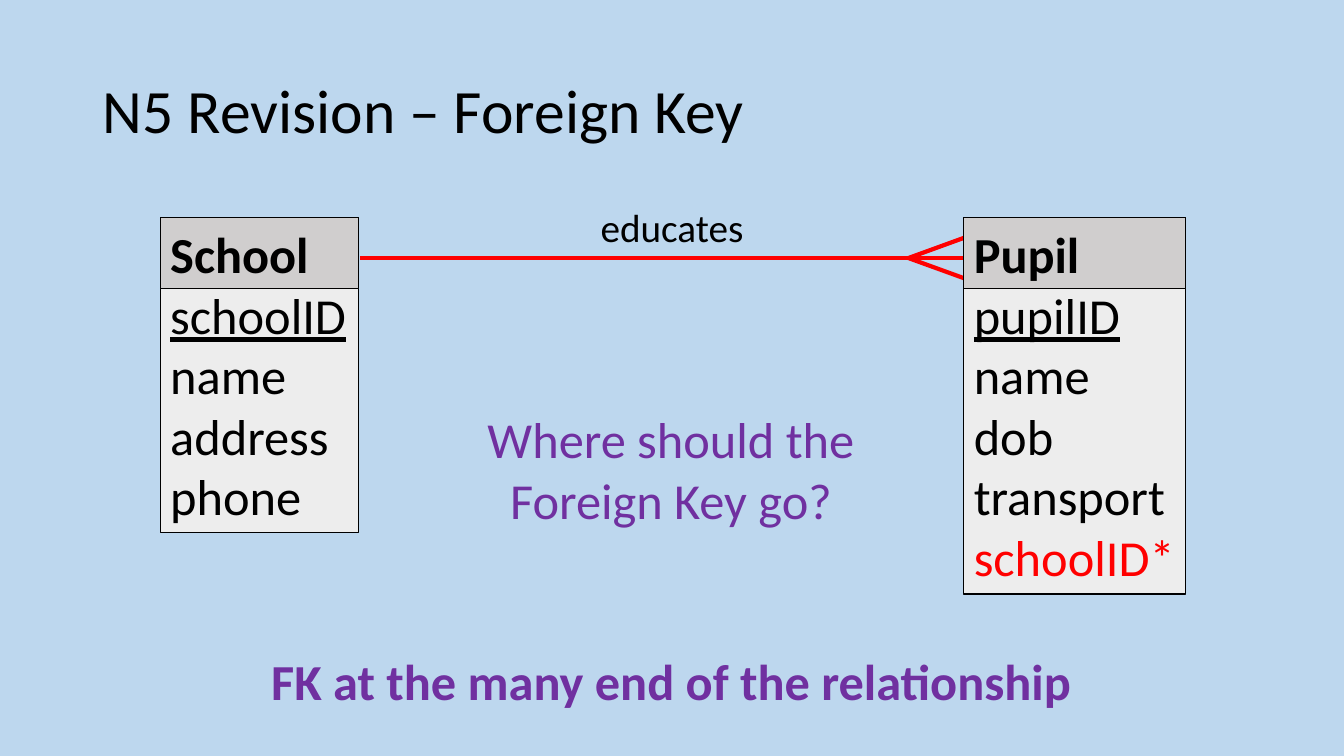
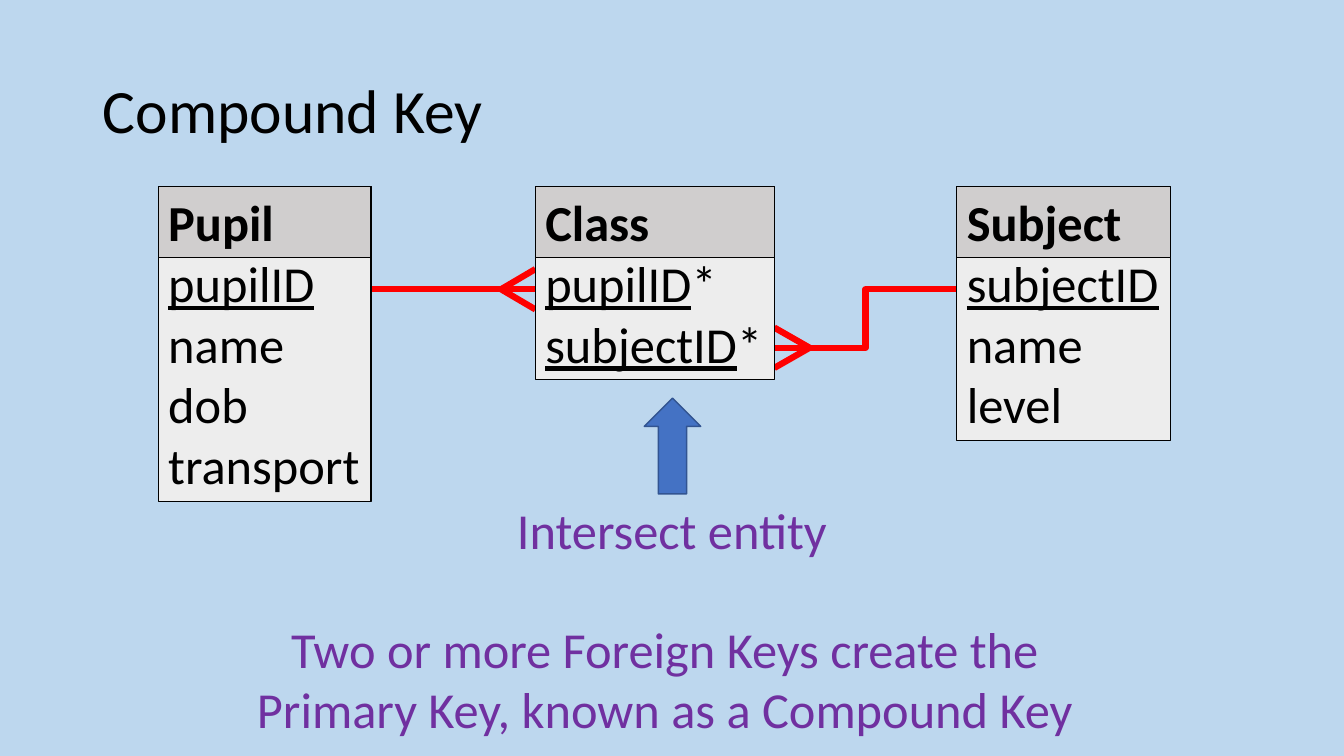
from dataclasses import dataclass

from pptx import Presentation
from pptx.dml.color import RGBColor
from pptx.enum import shapes, text
from pptx.oxml import ns, xmlchemy
from pptx.util import Inches, Pt


@dataclass(frozen=True)
class Theme:
    font: str = "Calibri"
    background: str = "BDD7EE"
    ink: str = "000000"
    accent: str = "7030A0"
    relation: str = "FF0000"
    header: str = "D0CECE"
    body: str = "EDEDED"
    arrow: str = "4472C4"
    arrow_outline: str = "325491"
    title_size: float = 44
    text_size: float = 36
    label_size: float = 28
    row_height: float = 43.6
    border: float = 0.75


@dataclass(frozen=True)
class Field:
    """One attribute of an entity: its underlined key, then its plain part."""
    key: str = ""
    plain: str = ""
    colour: str = Theme.ink


class Deck:
    def __init__(self, theme):
        self.theme = theme
        self.presentation = Presentation()
        self.presentation.slide_width = Inches(13.33)
        self.presentation.slide_height = Inches(7.5)
        fill = self.presentation.slide_master.background.fill
        fill.solid()
        fill.fore_color.rgb = RGBColor.from_string(theme.background)
        self.slide = None

    def format_font(self, font, size, colour, bold=False, underline=False):
        font.name = self.theme.font
        font.size = Pt(size)
        font.color.rgb = RGBColor.from_string(colour)
        font.bold = bold
        font.underline = underline

    def add_slide(self, title):
        self.slide = self.presentation.slides.add_slide(
            self.presentation.slide_layouts.get_by_name("Title Only"))
        placeholder = self.slide.shapes.title
        placeholder.left, placeholder.top = Inches(0.92), Inches(0.4)
        placeholder.width, placeholder.height = Inches(11.5), Inches(1.45)
        frame = placeholder.text_frame
        frame.text = title
        frame.vertical_anchor = text.MSO_ANCHOR.MIDDLE
        paragraph = frame.paragraphs[0]
        paragraph.alignment = text.PP_ALIGN.LEFT
        paragraph.line_spacing = 0.9
        self.format_font(paragraph.runs[0].font, self.theme.title_size, self.theme.ink)

    def add_text(self, words, left, top, width, height, size=None, colour=None, bold=False):
        box = self.slide.shapes.add_textbox(
            Inches(left), Inches(top), Inches(width), Inches(height))
        frame = box.text_frame
        frame.word_wrap = True
        frame.text = words
        paragraph = frame.paragraphs[0]
        paragraph.alignment = text.PP_ALIGN.CENTER
        self.format_font(paragraph.runs[0].font, size or self.theme.text_size,
                         colour or self.theme.accent, bold)

    def add_shape(self, kind, left, top, width, height, fill, outline, weight):
        shape = self.slide.shapes.add_shape(kind, left, top, width, height)
        shape.shadow.inherit = False
        shape.fill.solid()
        shape.fill.fore_color.rgb = RGBColor.from_string(fill)
        shape.line.color.rgb = RGBColor.from_string(outline)
        shape.line.width = Pt(weight)
        return shape

    def add_entity(self, name, left, top, width, fields):
        """Draw a header over a body that is as tall as its fields need."""
        theme = self.theme
        row, inset = Pt(theme.row_height), Inches(0.05)
        header_height = row + 2 * inset

        def panel(height, fill):
            shape = self.add_shape(
                shapes.MSO_SHAPE.RECTANGLE, Inches(left), Inches(top), Inches(width),
                height, fill, theme.ink, theme.border)
            shape.text_frame.vertical_anchor = text.MSO_ANCHOR.TOP
            shape.text_frame.word_wrap = False
            return shape.text_frame

        body = panel(header_height + row * len(fields), theme.body)
        body.margin_top = inset + row
        for index, field in enumerate(fields):
            paragraph = body.add_paragraph() if index else body.paragraphs[0]
            paragraph.alignment = text.PP_ALIGN.LEFT
            for words, underline in ((field.key, True), (field.plain, False)):
                if words:
                    run = paragraph.add_run()
                    run.text = words
                    self.format_font(run.font, theme.text_size, field.colour,
                                     underline=underline)

        header = panel(header_height, theme.header)
        header.word_wrap = True
        header.text = name
        header.paragraphs[0].alignment = text.PP_ALIGN.LEFT
        self.format_font(header.paragraphs[0].runs[0].font, theme.text_size,
                         theme.ink, bold=True)

    def add_line(self, start, end, weight, kind=shapes.MSO_CONNECTOR.STRAIGHT):
        connector = self.slide.shapes.add_connector(
            kind, *(Inches(value) for value in (*start, *end)))
        connector.line.color.rgb = RGBColor.from_string(self.theme.relation)
        connector.line.width = Pt(weight)
        properties = connector._element.spPr
        properties.append(xmlchemy.OxmlElement("a:effectLst"))

    def add_relation(self, one, many, foot, weight, kind=shapes.MSO_CONNECTOR.STRAIGHT):
        """Join two points, with a crow's foot from x = foot at the many end."""
        self.add_line(one, many, weight, kind)
        x, y = many
        for spread in (-0.2, 0.2):
            self.add_line((foot, y), (x, y + spread), weight)

    def add_up_arrow(self, left, top, width, height):
        self.add_shape(shapes.MSO_SHAPE.UP_ARROW, Inches(left), Inches(top),
                       Inches(width), Inches(height), self.theme.arrow,
                       self.theme.arrow_outline, 1)


PUPIL = [Field("pupilID"), Field(plain="name"), Field(plain="dob"),
         Field(plain="transport")]


def add_foreign_key(deck):
    theme = deck.theme
    deck.add_slide("N5 Revision – Foreign Key")
    deck.add_relation((3.57, 2.56), (9.56, 2.56), foot=9.01, weight=3)
    deck.add_text("educates", 5.85, 1.97, 1.63, 0.57, theme.label_size, theme.ink)
    deck.add_entity("School", 1.59, 2.16, 1.97, [
        Field("schoolID"), Field(plain="name"), Field(plain="address"),
        Field(plain="phone")])
    deck.add_entity("Pupil", 9.56, 2.16, 2.2,
                    PUPIL + [Field(plain="schoolID*", colour=theme.relation)])
    deck.add_text("Where should the Foreign Key go?", 4.58, 4, 4.15, 1.31)
    deck.add_text("FK at the many end of the relationship", 2.56, 6.4, 8.2, 0.71,
                  bold=True)


def add_compound_key(deck):
    deck.add_slide("Compound Key")
    deck.add_relation((3.69, 2.87), (5.31, 2.87), foot=4.97, weight=4.5)
    deck.add_relation((9.49, 2.87), (7.68, 3.45), foot=8.03, weight=4.5,
                      kind=shapes.MSO_CONNECTOR.ELBOW)
    top = 1.85
    deck.add_entity("Pupil", 1.57, top, 2.11, PUPIL)
    deck.add_entity("Class", 5.31, top, 2.37,
                    [Field("pupilID", "*"), Field("subjectID", "*")])
    deck.add_entity("Subject", 9.49, top, 2.12,
                    [Field("subjectID"), Field(plain="name"), Field(plain="level")])
    deck.add_up_arrow(6.39, 3.95, 0.56, 0.95)
    deck.add_text("Intersect entity", 5.01, 4.9, 3.31, 0.71)
    deck.add_text("Two or more Foreign Keys create the Primary Key, known as a Compound Key",
                  2.39, 6.08, 8.41, 1.31)


def main():
    deck = Deck(Theme())
    add_foreign_key(deck)
    add_compound_key(deck)
    deck.presentation.save("out.pptx")


if __name__ == "__main__":
    main()
